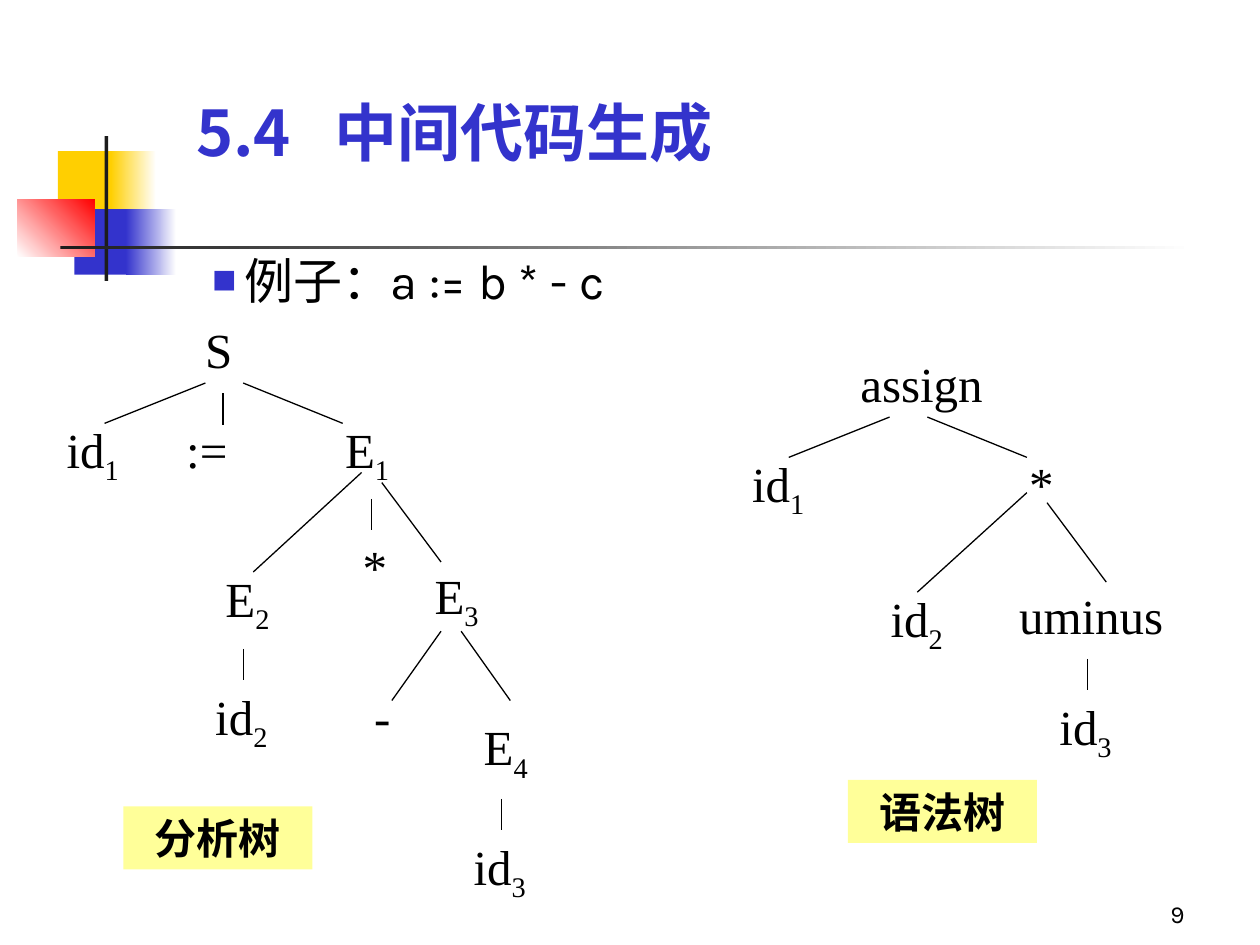
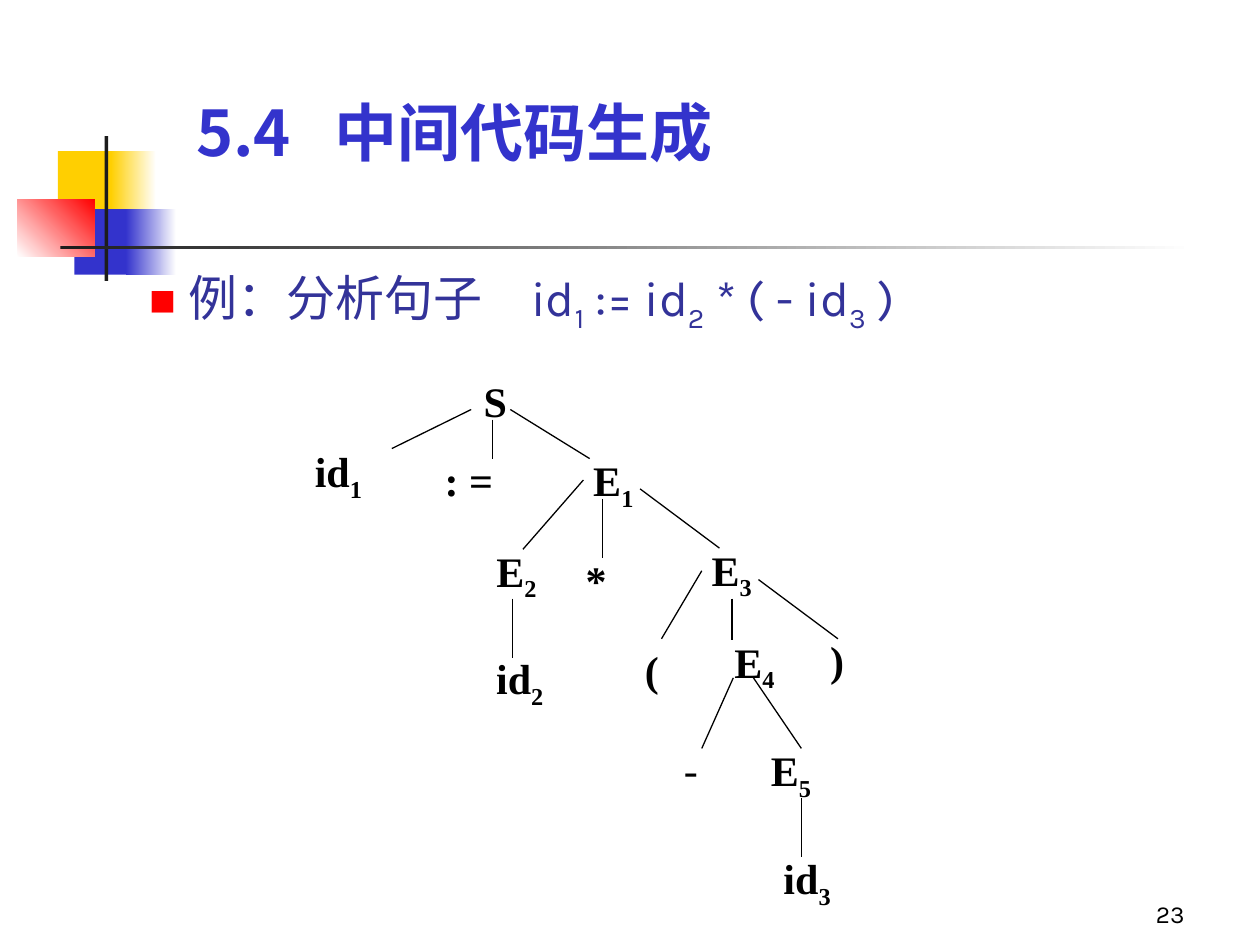
from lxml import etree
from pptx import Presentation
from pptx import util as u
from pptx.dml.color import RGBColor
from pptx.enum import shapes, text
from pptx.oxml.ns import qn

PX = u.Inches(1) // 100  # 100 px to the inch
COLORS = {
    "white": "FFFFFF", "black": "000000", "ink": "1C1C1C", "blue": "3333CC",
    "navy": "333399", "yellow": "FFCF01", "red": "FF0000", "label": "FFFF99",
}
RGB = {name: RGBColor.from_string(value) for name, value in COLORS.items()}
SANS, CJK, SERIF = "Karla", "Noto Sans CJK SC", "Times New Roman"


def add_block(slide, rect, start, end=None, angle=0):
    """Borderless rectangle, solid or with a gradient from start to end."""
    block = slide.shapes.add_shape(shapes.MSO_SHAPE.RECTANGLE, *(v * PX for v in rect))
    block.shadow.inherit = False
    block.line.fill.background()
    if end:
        block.fill.gradient()
        block.fill.gradient_angle = angle
        for stop, color in zip(block.fill.gradient_stops, (start, end)):
            stop.color.rgb = RGB[color]
    else:
        block.fill.solid()
        block.fill.fore_color.rgb = RGB[start]
    return block


def write(shape, markup, size, font, color="black", bold=False,
          align=text.PP_ALIGN.LEFT, anchor=text.MSO_ANCHOR.TOP):
    """Write runs parted by |; a run that begins with _ is a subscript."""
    frame = shape.text_frame
    frame.word_wrap = True
    frame.vertical_anchor = anchor
    paragraph = frame.paragraphs[0]
    paragraph.alignment = align
    for part in markup.split("|"):
        run = paragraph.add_run()
        run.text = part.removeprefix("_")
        run.font.size = u.Pt(size)
        run.font.name = font
        run.font.bold = bold
        run.font.color.rgb = RGB[color]
        props = run.font._element
        etree.SubElement(props, qn("a:ea")).set("typeface", CJK)
        if part.startswith("_"):
            props.set("baseline", "-25000")
    return paragraph


# Master decoration: rect, start colour, end colour, angle
DECORATION = [
    ((46, 120, 48, 52), "yellow"),
    ((88, 120, 36, 52), "yellow", "white"),
    ((59, 166, 46, 52), "blue"),
    ((100, 166, 40, 52), "blue", "white"),
    ((14, 158, 61, 46), "white", "red", 45),
    ((83, 108, 3, 115), "ink"),
    ((48, 195, 900, 3), "ink", "white"),
]

# Nodes: left, top, width, markup; edges: x1, y1, x2, y2
SLIDES = [
    {
        "number": "9",
        "example": "例子：a := b * - c",
        "example_top": 194, "example_color": "black", "level": 2, "spacing": 1.0,
        "bullet": ("blue", 50), "indent": (125, -25),
        "size": 28, "bold": False, "node_height": 57,
        "nodes": [
            # parse tree
            (153, 249, 53, "S"), (43, 328, 71, "id|_1"), (138, 328, 63, ":="),
            (264, 328, 71, "E|_1"), (169, 446, 71, "E|_2"), (278, 421, 41, "*"),
            (335, 444, 71, "E|_3"), (161, 540, 71, "id|_2"), (287, 540, 71, "-"),
            (374, 564, 71, "E|_4"), (366, 659, 71, "id|_3"),
            # syntax tree
            (673, 276, 131, "assign"), (587, 355, 71, "id|_1"), (807, 355, 71, "*"),
            (697, 462, 71, "id|_2"), (799, 460, 161, "uminus"), (831, 548, 71, "id|_3"),
        ],
        "edges": [
            (163, 304, 83, 336), (177, 312, 177, 337), (193, 304, 272, 336),
            (287, 375, 201, 454), (295, 396, 295, 421), (303, 383, 350, 446),
            (193, 515, 193, 540), (350, 501, 311, 556), (366, 501, 405, 556),
            (398, 634, 398, 659),
            (706, 331, 626, 363), (736, 331, 815, 363), (815, 391, 728, 470),
            (831, 399, 878, 462), (863, 523, 863, 548),
        ],
        "labels": [(98, 640, "分析树"), (673, 619, "语法树")],
    },
    {
        "number": "23",
        "example": "例：分析句子　id|_1| := id|_2| * ( - id|_3| )",
        "example_top": 202, "example_color": "navy", "level": 1, "spacing": 1.1,
        "bullet": ("red", 55), "indent": (81, -31),
        "size": 24, "bold": True, "node_height": 50,
        "nodes": [
            (374, 293, 33, "S"), (240, 349, 81, "id|_1"), (343, 356, 81, ": ="),
            (461, 356, 55, "E|_1"), (384, 428, 55, "E|_2"), (455, 435, 41, "*"),
            (555, 427, 73, "E|_3"), (384, 513, 97, "id|_2"), (502, 507, 73, "("),
            (573, 500, 69, "E|_4"), (649, 499, 73, ")"), (533, 585, 41, "-"),
            (602, 586, 71, "E|_5"), (612, 672, 97, "id|_3"),
        ],
        "edges": [
            (374, 325, 311, 356), (391, 333, 391, 364), (405, 325, 468, 364),
            (463, 381, 415, 436), (478, 396, 478, 443), (508, 388, 571, 435),
            (407, 475, 407, 522), (557, 453, 525, 507), (581, 475, 581, 508),
            (602, 460, 665, 507), (582, 538, 557, 594), (598, 538, 636, 594),
            (636, 633, 636, 680),
        ],
        "labels": [],
    },
]

prs = Presentation()
prs.slide_width, prs.slide_height = 1000 * PX, 750 * PX

for content in SLIDES:
    slide = prs.slides.add_slide(prs.slide_layouts[6])
    for piece in DECORATION:
        add_block(slide, *piece)

    # Page number
    number = slide.shapes.add_textbox(742 * PX, 692 * PX, 208 * PX, 50 * PX)
    write(number, content["number"], 14, SANS,
          align=text.PP_ALIGN.RIGHT, anchor=text.MSO_ANCHOR.BOTTOM)

    # Title, with a tab stop after the section number
    title = slide.shapes.add_textbox(146 * PX, 68 * PX, 746 * PX, 71 * PX)
    heading = write(title, "5.4\t中间代码生成", 36, CJK, "blue", True,
                    anchor=text.MSO_ANCHOR.BOTTOM)
    tabs = etree.SubElement(heading._p.get_or_add_pPr(), qn("a:tabLst"))
    etree.SubElement(tabs, qn("a:tab"), pos=str(110 * PX), algn="l")

    # Example sentence with a square bullet
    example = slide.shapes.add_textbox(59 * PX, content["example_top"] * PX, 890 * PX, 71 * PX)
    sentence = write(example, content["example"], 28, SANS, content["example_color"])
    sentence.level = content["level"]
    sentence.line_spacing = content["spacing"]
    margin, hanging = content["indent"]
    bullet_color, bullet_size = content["bullet"]
    props = sentence._p.get_or_add_pPr()
    props.set("marL", str(margin * PX))
    props.set("indent", str(hanging * PX))
    tint = etree.SubElement(props, qn("a:buClr"))
    etree.SubElement(tint, qn("a:srgbClr"), val=COLORS[bullet_color])
    etree.SubElement(props, qn("a:buSzPct"), val=str(bullet_size * 1000))
    etree.SubElement(props, qn("a:buFont"), typeface=CJK)
    etree.SubElement(props, qn("a:buChar"), char="■")

    # Tree edges
    for edge in content["edges"]:
        branch = slide.shapes.add_connector(
            shapes.MSO_CONNECTOR.STRAIGHT, *(v * PX for v in edge))
        branch.line.color.rgb = RGB["black"]
        branch.line.width = u.Pt(0.75)
        etree.SubElement(branch._element.spPr, qn("a:effectLst"))

    # Tree nodes; a subscript makes the box a little taller
    for left, top, width, markup in content["nodes"]:
        height = content["node_height"] + (6 if "_" in markup else 0)
        node = slide.shapes.add_textbox(left * PX, top * PX, width * PX, height * PX)
        write(node, markup, content["size"], SERIF,
              bold=content["bold"] and markup != "-")

    # Tree captions
    for left, top, caption in content["labels"]:
        label = add_block(slide, (left, top, 150, 50), "label")
        write(label, caption, 24, CJK, bold=True,
              align=text.PP_ALIGN.CENTER, anchor=text.MSO_ANCHOR.BOTTOM)

prs.save("out.pptx")
